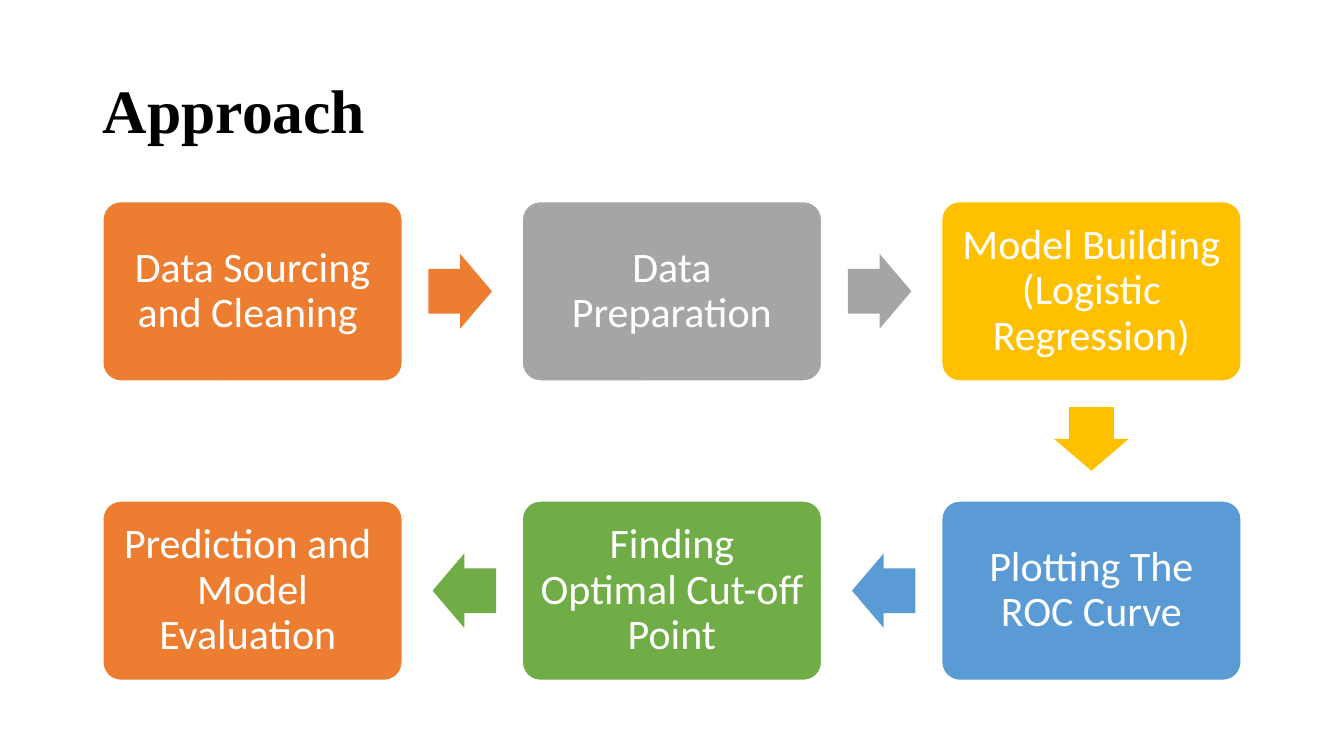
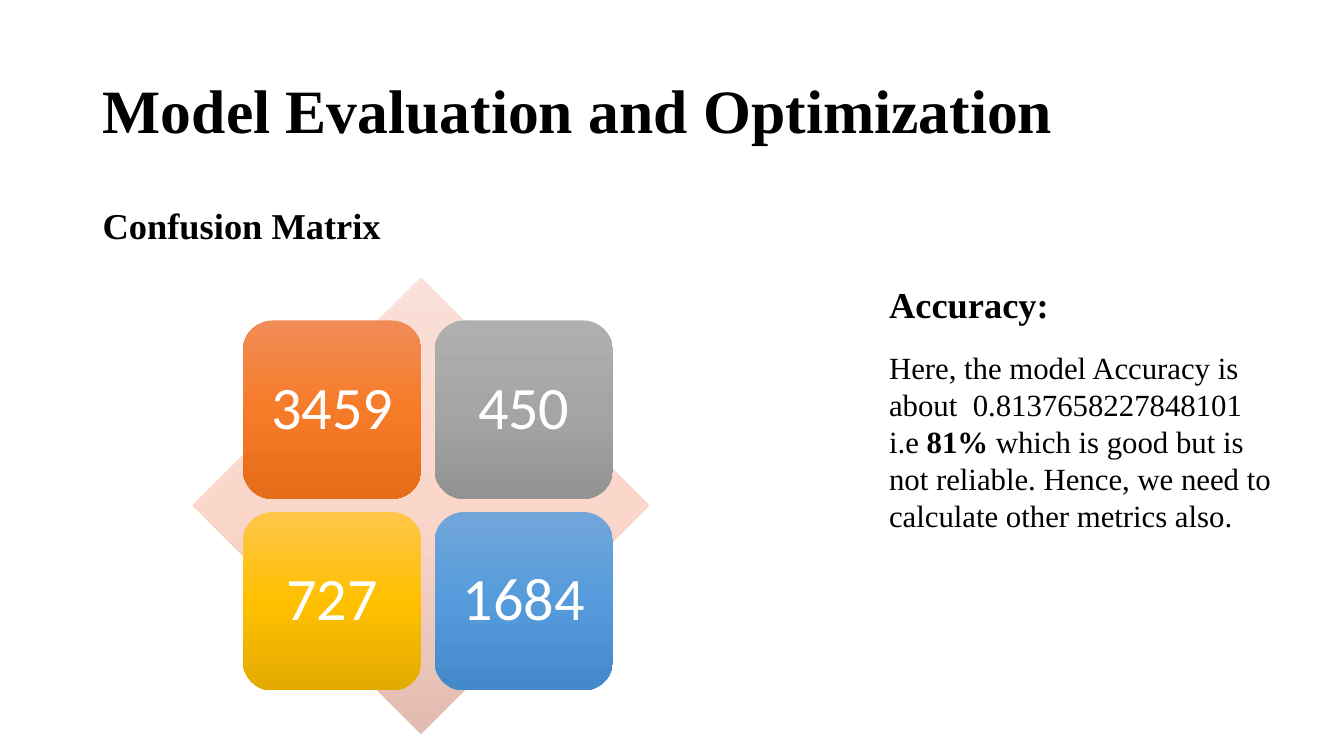
import copy

import pptx
import pptx.dml.color
import pptx.enum.shapes
import pptx.enum.text
import pptx.util

Inches, Pt = pptx.util.Inches, pptx.util.Pt
SHAPE = pptx.enum.shapes.MSO_SHAPE
ALIGN = pptx.enum.text.PP_ALIGN
ANCHOR = pptx.enum.text.MSO_ANCHOR

# Shared style
COLORS = {
    "black": "000000", "white": "FFFFFF", "orange": "ED7D31", "gray": "A5A5A5",
    "gold": "FFC000", "blue": "5B9BD5", "green": "70AD47",
}
GRADIENTS = {
    "peach": ("FAE0D8", "FAD6CB", "E2BCB1"),
    "orange": ("F18C57", "F67B28", "E56C19"),
    "gray": ("AFAFAF", "A5A5A5", "939393"),
    "gold": ("FFC64B", "FFC000", "E3AB00"),
    "blue": ("71A6DB", "559BDB", "448ACA"),
}
SERIF, SANS = "Times New Roman", "Calibri"

# Content of slide 1: text, color, grid column, grid row
STEPS = [
    ("Data Sourcing and Cleaning ", "orange", 0, 0),
    ("Data Preparation", "gray", 1, 0),
    ("Model Building (Logistic Regression)", "gold", 2, 0),
    ("Plotting The ROC Curve", "blue", 2, 1),
    ("Finding Optimal Cut-off Point", "green", 1, 1),
    ("Prediction and  Model Evaluation ", "orange", 0, 1),
]
ROTATIONS = {(1, 0): 0, (0, 1): 90, (-1, 0): 180}

# Content of slide 2: matrix rows, then text boxes as place, size, paragraphs of (text, bold)
MATRIX = [
    [("3459", "orange"), ("450", "gray")],
    [("727", "gold"), ("1684", "blue")],
]
TEXTS = [
    ((8.72, 3.41, 4.17, 1.95), 22, [
        [("Here, the model Accuracy is about  0.8137658227848101 ", False)],
        [("i.e ", False), ("81% ", True),
         ("which is good but is not reliable. Hence, we need to "
          "calculate other metrics also.", False)],
    ]),
    ((0.92, 1.97, 3.16, 0.54), 26, [[("Confusion Matrix", True)]]),
    ((8.72, 2.75, 2.75, 0.54), 26, [[("Accuracy:", True)]]),
]


def rgb(value):
    return pptx.dml.color.RGBColor.from_string(value)


def set_font(font, name, size, color):
    font.name, font.size = name, Pt(size)
    font.color.rgb = rgb(COLORS[color])


def add_title_slide(presentation, title):
    slide = presentation.slides.add_slide(presentation.slide_layouts[5])
    shape = slide.shapes.title
    shape.left, shape.top = Inches(0.92), Inches(0.4)
    shape.width, shape.height = Inches(11.5), Inches(1.45)
    shape.text_frame.text = title
    shape.text_frame.vertical_anchor = ANCHOR.MIDDLE
    paragraph = shape.text_frame.paragraphs[0]
    paragraph.alignment, paragraph.line_spacing = ALIGN.LEFT, 0.9
    set_font(paragraph.font, SERIF, 44, "black")
    paragraph.font.bold = True
    return slide


def add_plain_shape(slide, kind, left, top, width, height):
    shape = slide.shapes.add_shape(
        kind, Inches(left), Inches(top), Inches(width), Inches(height))
    shape.shadow.inherit = False
    shape.line.fill.background()
    return shape


def fill_solid(shape, color):
    shape.fill.solid()
    shape.fill.fore_color.rgb = rgb(COLORS[color])


def fill_gradient(shape, name):
    """Three evenly spaced stops running from top to bottom."""
    shape.fill.gradient()
    shape.fill.gradient_angle = 270
    first_stop = shape._element.spPr.xpath(".//a:gs")[0]
    first_stop.addnext(copy.deepcopy(first_stop))
    for index, stop in enumerate(shape.fill.gradient_stops):
        stop.position = index / 2
        stop.color.rgb = rgb(GRADIENTS[name][index])


def add_label(shape, text, size, inset):
    frame = shape.text_frame
    frame.text, frame.word_wrap = text, True
    frame.vertical_anchor = ANCHOR.MIDDLE
    frame.margin_left = frame.margin_right = Inches(inset)
    frame.margin_top = frame.margin_bottom = Inches(inset)
    paragraph = frame.paragraphs[0]
    paragraph.alignment, paragraph.line_spacing = ALIGN.CENTER, 0.9
    set_font(paragraph.font, SANS, size, "white")


def add_text(slide, place, size, paragraphs):
    frame = slide.shapes.add_textbox(*map(Inches, place)).text_frame
    frame.word_wrap = True
    frame.auto_size = pptx.enum.text.MSO_AUTO_SIZE.SHAPE_TO_FIT_TEXT
    for index, runs in enumerate(paragraphs):
        paragraph = frame.add_paragraph() if index else frame.paragraphs[0]
        set_font(paragraph.font, SERIF, size, "black")
        for text, bold in runs:
            run = paragraph.add_run()
            run.text, run.font.bold = text, bold


def build_approach(presentation):
    slide = add_title_slide(presentation, "Approach")
    left, top, width, height = 1.02, 2, 2.97, 1.78
    column_pitch, row_pitch = 4.16, 2.97
    arrow_width, arrow_height, arrow_gap = 0.63, 0.74, 0.26
    for index, (text, color, column, row) in enumerate(STEPS):
        x, y = left + column * column_pitch, top + row * row_pitch
        box = add_plain_shape(slide, SHAPE.ROUNDED_RECTANGLE, x, y, width, height)
        box.adjustments[0] = 0.1
        fill_solid(box, color)
        box.line.color.rgb = rgb(COLORS["white"])
        box.line.width = Pt(1)
        add_label(box, text, 30, 0.12)
        if index + 1 == len(STEPS):
            break
        # Arrow from this box towards the next one
        next_column, next_row = STEPS[index + 1][2:]
        across, down = next_column - column, next_row - row
        reach = arrow_gap + arrow_width / 2
        center_x = x + width / 2 + across * (width / 2 + reach)
        center_y = y + height / 2 + down * (height / 2 + reach)
        arrow = add_plain_shape(
            slide, SHAPE.RIGHT_ARROW, center_x - arrow_width / 2,
            center_y - arrow_height / 2, arrow_width, arrow_height)
        arrow.adjustments[0], arrow.adjustments[1] = 0.6, 0.5
        arrow.rotation = ROTATIONS[across, down]
        fill_solid(arrow, color)


def build_evaluation(presentation):
    slide = add_title_slide(presentation, "Model Evaluation and Optimization")
    diamond = add_plain_shape(slide, SHAPE.DIAMOND, 1.91, 2.75, 4.53, 4.53)
    fill_gradient(diamond, "peach")
    left, top, side, pitch = 2.41, 3.18, 1.77, 1.9
    for row, cells in enumerate(MATRIX):
        for column, (count, gradient) in enumerate(cells):
            cell = add_plain_shape(
                slide, SHAPE.ROUNDED_RECTANGLE,
                left + column * pitch, top + row * pitch, side, side)
            fill_gradient(cell, gradient)
            add_label(cell, count, 43, 0.18)
    for place, size, paragraphs in TEXTS:
        add_text(slide, place, size, paragraphs)


presentation = pptx.Presentation()
presentation.slide_width, presentation.slide_height = Inches(13.33), Inches(7.5)
build_approach(presentation)
build_evaluation(presentation)
presentation.save("out.pptx")
